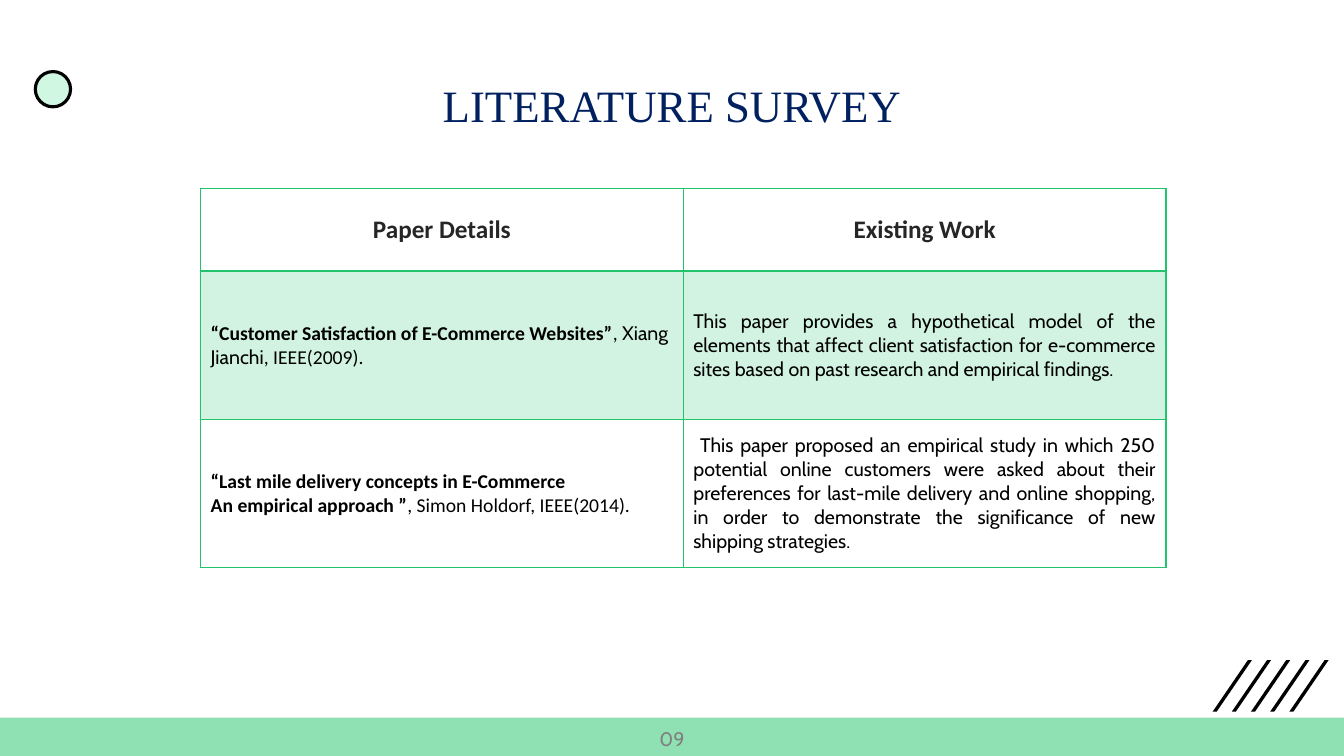
"""Build the literature survey slide with its table of papers."""
import dataclasses

import lxml.etree
import pptx
import pptx.dml.color
import pptx.enum.shapes
import pptx.enum.text
import pptx.oxml
import pptx.oxml.ns
import pptx.util

Pt = pptx.util.Pt
qn = pptx.oxml.ns.qn
Align = pptx.enum.text.PP_ALIGN
Anchor = pptx.enum.text.MSO_ANCHOR
Shape = pptx.enum.shapes.MSO_SHAPE


@dataclasses.dataclass
class Theme:
    green: str = "21C46B"
    mint: str = "CFF7E1"
    black: str = "000000"
    navy: str = "002060"
    dark: str = "262626"
    grey: str = "808080"
    title: int = 32
    head: int = 18
    body: int = 14
    serif: str = "Times New Roman"
    plain: str = "Calibri"
    round: str = "Cabin"


def rgb(code):
    return pptx.dml.color.RGBColor.from_string(code)


def apply(item, form):
    for key, value in form.items():
        setattr(item, key, value)


class Deck:
    def __init__(self, theme):
        self.theme = theme
        self.file = pptx.Presentation()
        apply(self.file, {"slide_width": Pt(960), "slide_height": Pt(540)})
        self.slide = self.file.slides.add_slide(self.file.slide_layouts[6])

    def paint(self, item, props, color, alpha=100):
        item.fill.solid()
        item.fill.fore_color.rgb = rgb(color)
        if alpha < 100:
            tint = props.find(qn("a:solidFill") + "/" + qn("a:srgbClr"))
            lxml.etree.SubElement(tint, qn("a:alpha")).set("val", str(alpha * 1000))

    def finish(self, shape, color, alpha=100, line=0):
        shape.shadow.inherit = False
        self.paint(shape, shape.element.spPr, color, alpha)
        if line:
            shape.line.color.rgb = rgb(self.theme.black)
            shape.line.width = Pt(line)
        else:
            shape.line.fill.background()

    def shape(self, kind, box, color, alpha=100, line=0):
        item = self.slide.shapes.add_shape(kind, *map(Pt, box))
        self.finish(item, color, alpha, line)

    def stripe(self, left, top, width, height, foot):
        spots = [(left + foot, top + height), (left, top + height),
                 (left + width - foot, top), (left + width, top)]
        first, *rest = [(Pt(x), Pt(y)) for x, y in spots]
        trace = self.slide.shapes.build_freeform(*first, scale=1.0)
        trace.add_line_segments(rest, close=True)
        self.finish(trace.convert_to_shape(), self.theme.black)

    def text(self, frame, lines, align, size, color):
        for spot, runs in enumerate(lines):
            para = frame.add_paragraph() if spot else frame.paragraphs[0]
            para.alignment = align
            for words, font, bold in runs:
                run = para.add_run()
                run.text = words
                apply(run.font, {"name": font, "bold": bold, "size": Pt(size)})
                run.font.color.rgb = rgb(color)

    def label(self, box, words, font, size, color):
        frame = self.slide.shapes.add_textbox(*map(Pt, box)).text_frame
        apply(frame, {"word_wrap": True,
                      "auto_size": pptx.enum.text.MSO_AUTO_SIZE.SHAPE_TO_FIT_TEXT})
        self.text(frame, [[(words, font, False)]], Align.CENTER, size, color)

    def border(self, props, sides):
        for side, width in sides.items():
            line = lxml.etree.SubElement(props, qn("a:ln" + side), w=str(Pt(width)))
            fill = lxml.etree.SubElement(line, qn("a:solidFill"))
            lxml.etree.SubElement(fill, qn("a:srgbClr"), val=self.theme.green)

    def table(self, left, top, wide, highs, rows):
        count = len(rows[0])
        box = (left, top, wide * count, sum(highs))
        grid = self.slide.shapes.add_table(len(rows), count, *map(Pt, box)).table
        grid.horz_banding = False
        for col in grid.columns:
            col.width = Pt(wide)
        for i, row in enumerate(rows):
            grid.rows[i].height = Pt(highs[i])
            for j, lines in enumerate(row):
                self.cell(grid.cell(i, j), i, j, lines)

    def cell(self, cell, i, j, lines):
        look = self.theme
        cell.vertical_anchor = Anchor.MIDDLE
        props = cell._tc.get_or_add_tcPr()
        self.border(props, {"L": 1, "R": 1, "T": 2 if i == 1 else 1,
                            "B": 2 if i == 0 else 1})
        if i == 1:
            self.paint(cell, props, look.green, 20)
        else:
            cell.fill.background()
        if i == 0:
            self.text(cell.text_frame, lines, Align.CENTER, look.head, look.dark)
        else:
            align = Align.JUSTIFY if j else Align.LEFT
            self.text(cell.text_frame, lines, align, look.body, look.black)


def main():
    look = Theme()
    deck = Deck(look)
    plain, cabin = look.plain, look.round
    for i in range(5):
        deck.stripe(866.2 + 13.7 * i, 471.6, 28, 36.7, 2.9)
    deck.shape(Shape.OVAL, (25.2, 51.1, 25.2, 25.2), look.mint, line=2.25)
    deck.shape(Shape.RECTANGLE, (0, 512.6, 960, 27.4), look.green, 50)
    deck.label((0, 515.5, 960, 24.5), "09", cabin, look.body, look.grey)
    deck.label((0, 51.8, 960, 46), "LITERATURE SURVEY",
               look.serif, look.title, look.navy)
    rows = [
        [[[("Paper Details", plain, True)]], [[("Existing Work", plain, True)]]],
        [
            [[("“Customer Satisfaction of E-Commerce Websites”", plain, True),
              (", ", plain, False), ("Xiang Jianchi", cabin, False),
              (", IEEE(2009).", plain, False)]],
            [[("This paper provides a hypothetical model of the elements that "
               "affect client satisfaction for e-commerce sites based on past "
               "research and empirical findings.", cabin, False)]],
        ],
        [
            [[("“Last mile delivery concepts in E-Commerce", plain, True)],
             [("An empirical approach ”", plain, True),
              (", Simon Holdorf, IEEE(2014).", plain, False)]],
            [[(" This paper proposed an empirical study in which 250 potential "
               "online customers were asked about their preferences for "
               "last-mile delivery and online shopping, in order to demonstrate "
               "the significance of new shipping strategies.", cabin, False)]],
        ],
    ]
    deck.table(143.3, 134.6, 344.8, (59, 106, 106), rows)
    deck.file.save("out.pptx")


if __name__ == "__main__":
    main()
